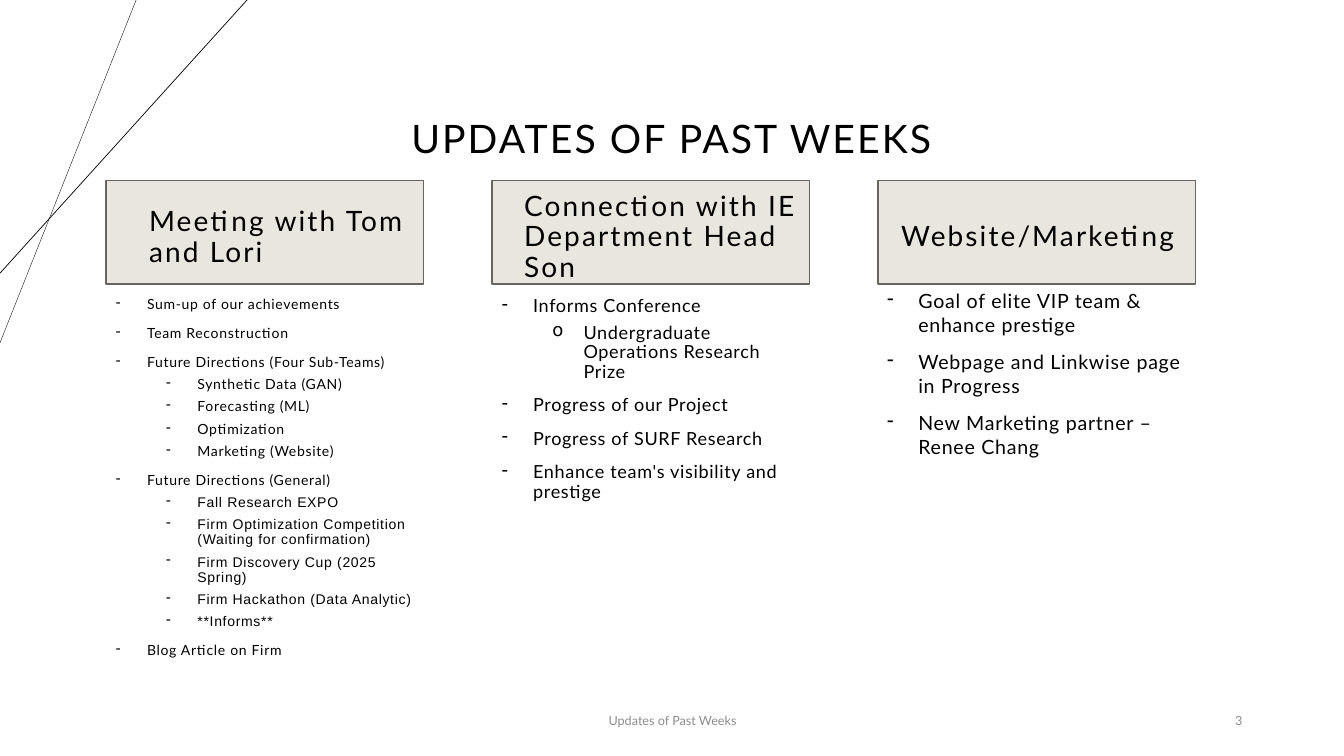
"""Build the 'Updates of Past Weeks' slide with three columns of notes."""
from lxml.etree import SubElement
from pptx import Presentation
from pptx.dml.color import RGBColor
from pptx.enum.shapes import MSO_CONNECTOR, MSO_SHAPE
from pptx.enum.text import MSO_ANCHOR, PP_ALIGN
from pptx.oxml.ns import qn
from pptx.util import Pt

PX = 9144
BLACK = RGBColor(0x00, 0x00, 0x00)
GRAY = RGBColor(0x8C, 0x8C, 0x8C)
BEIGE = RGBColor(0xE9, 0xE6, 0xDF)
BORDER = RGBColor(0x66, 0x65, 0x62)

prs = Presentation()
prs.slide_width, prs.slide_height = 1333 * PX, 750 * PX
s = prs.slides.add_slide(prs.slide_layouts[6])


def add_text(box, text, size, color=BLACK, align=PP_ALIGN.LEFT,
             anchor=MSO_ANCHOR.MIDDLE, spacing=0, line_spacing=1.0):
    tf = s.shapes.add_textbox(*(v * PX for v in box)).text_frame
    tf.word_wrap = True
    tf.vertical_anchor = anchor
    p = tf.paragraphs[0]
    p.text = text
    p.alignment = align
    p.line_spacing = line_spacing
    style_run(p.runs[0], size, color, spacing)


def style_run(r, size, color, spacing, name="Lato"):
    r.font.name = name
    r.font.size = Pt(size)
    r.font.color.rgb = color
    r._r.get_or_add_rPr().set("spc", str(spacing))


for x, y, width in [(135, 340, 0.25), (245, 271, 0.5)]:
    line = s.shapes.add_connector(MSO_CONNECTOR.STRAIGHT, x * PX, 0, 0, y * PX)
    line.line.color.rgb = BLACK
    line.line.width = Pt(width)
    SubElement(line._element.spPr, qn("a:effectLst"))

add_text((135, 57, 1062, 109), "UPDATES OF PAST WEEKS", 28, align=PP_ALIGN.CENTER,
         anchor=MSO_ANCHOR.BOTTOM, spacing=150, line_spacing=0.9)

columns = [
    ("Meeting with Tom and Lori", 138, (105, 290, 318, 406), 10, 0.9, [
        (0, "Sum-up of our achievements", "Lato"),
        (0, "Team Reconstruction", "Lato"),
        (0, "Future Directions (Four Sub-Teams)", "Lato"),
        (1, "Synthetic Data (GAN)", "Lato"),
        (1, "Forecasting (ML)", "Lato"),
        (1, "Optimization", "Lato"),
        (1, "Marketing (Website)", "Lato"),
        (0, "Future Directions (General)", "Lato"),
        (1, "Fall Research EXPO", "Arial"),
        (1, "Firm Optimization Competition (Waiting for confirmation)", "Arial"),
        (1, "Firm Discovery Cup (2025 Spring)", "Arial"),
        (1, "Firm Hackathon (Data Analytic)", "Arial"),
        (1, "**Informs**", "Arial"),
        (0, "Blog Article on Firm", "Lato"),
    ]),
    ("Connection with IE Department Head Son", 510, (488, 290, 317, 218), 12.9, 0.9, [
        (0, "Informs Conference", "Lato"),
        (1, "Undergraduate Operations Research Prize", "Lato"),
        (0, "Progress of our Project", "Lato"),
        (0, "Progress of SURF Research", "Lato"),
        (0, "Enhance team's visibility and prestige", "Lato"),
    ]),
    ("Website/Marketing", 884, (870, 282, 315, 218), 14, 1.0, [
        (0, "Goal of elite VIP team & enhance prestige", "Lato"),
        (0, "Webpage and Linkwise page in Progress", "Lato"),
        (0, "New Marketing partner – Renee Chang", "Lato"),
    ]),
]

for i, (heading, heading_x, box, size, line_spacing, items) in enumerate(columns):
    sp = s.shapes.add_shape(MSO_SHAPE.RECTANGLE, (105 + 383 * i) * PX, 179 * PX,
                            315 * PX, 103 * PX)
    sp.shadow.inherit = False
    sp.fill.solid()
    sp.fill.fore_color.rgb = BEIGE
    sp.line.color.rgb = BORDER
    sp.line.width = Pt(1)
    add_text((heading_x, 194, 316, 84), heading, 20, spacing=150, line_spacing=0.9)

    tf = s.shapes.add_textbox(*(v * PX for v in box)).text_frame
    tf.word_wrap = True
    for n, (level, text, name) in enumerate(items):
        p = tf.add_paragraph() if n else tf.paragraphs[0]
        p.text = text
        p.level = level
        p.line_spacing = line_spacing
        if n:
            p.space_before = Pt(5 if level else 10)
        pPr = p._p.get_or_add_pPr()
        pPr.set("marL", str((31 + 50 * level) * PX))
        pPr.set("indent", str(-31 * PX))
        bullet = "o" if level and i == 1 else "-"
        SubElement(pPr, qn("a:buChar")).set("char", bullet)
        style_run(p.runs[0], size, BLACK, 50, name)

add_text((442, 695, 450, 40), "Updates of Past Weeks", 9, GRAY, PP_ALIGN.CENTER)
add_text((942, 695, 300, 40), "3", 9, GRAY, PP_ALIGN.RIGHT)

prs.save("out.pptx")
